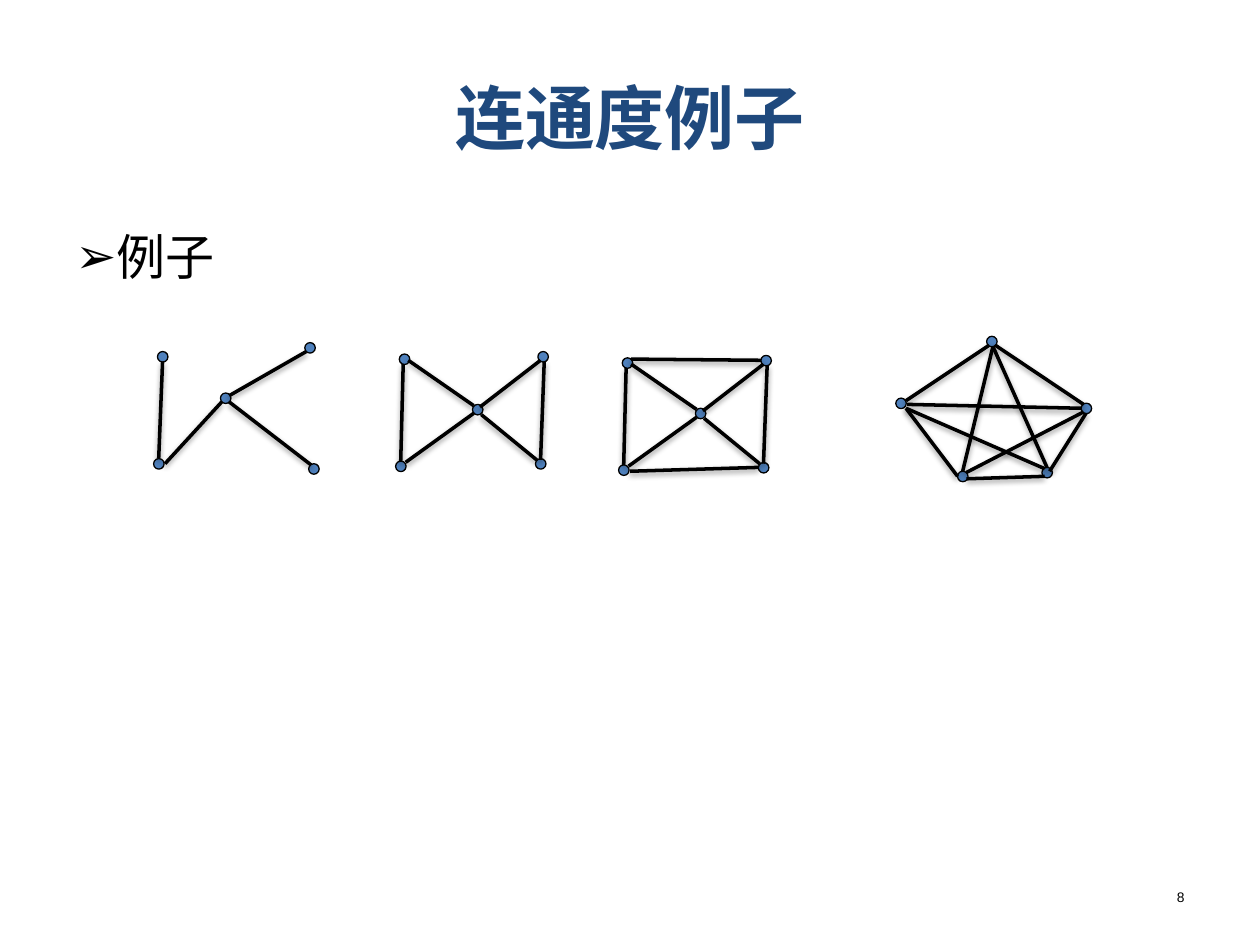
import dataclasses
import typing

import lxml.etree
import pptx
import pptx.dml.color
import pptx.enum.shapes
import pptx.enum.text
import pptx.oxml
import pptx.oxml.ns
import pptx.util

Pt = pptx.util.Pt
Align = pptx.enum.text.PP_ALIGN
Anchor = pptx.enum.text.MSO_ANCHOR
Point = tuple[float, float]
Edge = tuple[float, float, float, float]

BLACK = "000000"
NAVY = "1F497D"
BLUE = "4F81BD"
VERTEX_SIZE = 6
SHADOW = (
    f'<a:effectLst {pptx.oxml.ns.nsdecls("a")}>'
    '<a:outerShdw blurRad="40000" dist="20000" dir="5400000" rotWithShape="0">'
    '<a:srgbClr val="000000"><a:alpha val="38000"/></a:srgbClr>'
    "</a:outerShdw></a:effectLst>"
)


@dataclasses.dataclass
class Graph:
    vertices: list[Point]
    edges: list[Edge]

    def shifted(self, dx: float, dy: float) -> "Graph":
        return Graph(
            [(x + dx, y + dy) for x, y in self.vertices],
            [(x1 + dx, y1 + dy, x2 + dx, y2 + dy) for x1, y1, x2, y2 in self.edges],
        )


@dataclasses.dataclass
class Label:
    wording: str
    box: tuple[float, float, float, float]
    size: float
    color: str = BLACK
    bold: bool = False
    align: Align = Align.LEFT
    anchor: Anchor = Anchor.TOP
    bullet: typing.Optional[str] = None


TREE = Graph(
    [(90, 200.9), (87.8, 262.1), (126, 224.6), (174.2, 195.8), (176.4, 265)],
    [
        (92.9, 206.6, 90.7, 262.1),
        (126.7, 229.7, 94.3, 265),
        (131, 229.7, 177.8, 265.7),
        (131, 226.1, 175, 200.9),
    ],
)
BOW_TIE = Graph(
    [(228.2, 202.3), (226.1, 263.5), (307.4, 200.9), (306, 262.1), (270, 231.1)],
    [
        (230.4, 208.1, 229, 263.5),
        (311, 206.6, 308.9, 262.8),
        (275, 236.9, 306.7, 262.8),
        (233.3, 205.9, 270.7, 231.8),
        (231.8, 264.2, 270.7, 236.2),
        (274.3, 232.6, 308.9, 205.9),
    ],
)
WHEEL = BOW_TIE.shifted(127.4, 2.2)
WHEEL.edges += [(360.7, 205.2, 434.9, 205.9), (360, 269.3, 433.4, 267.1)]
COMPLETE = Graph(
    [(563.8, 192.2), (511.9, 227.5), (617.8, 230.4), (547.2, 269.3), (595.4, 267.1)],
    [
        (567.4, 198, 598.3, 267.1),
        (568.8, 197.3, 619.2, 231.1),
        (567.4, 198, 550.1, 269.3),
        (565.2, 197.3, 517.7, 229),
        (617.8, 233.3, 518.4, 231.1),
        (547.2, 272.2, 517.7, 233.3),
        (596.9, 267.8, 517.7, 233.3),
        (619.2, 235.4, 552.2, 270),
        (596.9, 272.2, 552.2, 273.6),
        (620.6, 236.2, 599.8, 269.3),
    ],
)
LABELS = [
    Label("连通度例子", (36, 21.6, 648, 90), 40, NAVY, True, Align.CENTER, Anchor.MIDDLE),
    Label("例子", (36, 126, 648, 356.4), 28, bullet="➢"),
    Label("8", (516.2, 504, 167.8, 25.2), 7.9, align=Align.RIGHT),
]


def rgb(color: str) -> pptx.dml.color.RGBColor:
    return pptx.dml.color.RGBColor.from_string(color)


def add_bullet(paragraph, symbol: str, indent: float) -> None:
    properties = paragraph._p.get_or_add_pPr()
    properties.set("marL", str(Pt(indent)))
    properties.set("indent", str(-Pt(indent)))
    for tag, key, setting in (("a:buFont", "typeface", "Arial"), ("a:buChar", "char", symbol)):
        lxml.etree.SubElement(properties, pptx.oxml.ns.qn(tag)).set(key, setting)


def draw_label(slide, label: Label) -> None:
    frame = slide.shapes.add_textbox(*map(Pt, label.box)).text_frame
    frame.word_wrap = True
    frame.vertical_anchor = label.anchor
    frame.text = label.wording
    paragraph = frame.paragraphs[0]
    paragraph.alignment = label.align
    if label.bullet:
        add_bullet(paragraph, label.bullet, 15)
    font = paragraph.runs[0].font
    font.name = "Arial"
    font.size = Pt(label.size)
    font.bold = label.bold
    font.color.rgb = rgb(label.color)


def draw_vertex(slide, corner: Point) -> None:
    vertex = slide.shapes.add_shape(
        pptx.enum.shapes.MSO_SHAPE.OVAL, *map(Pt, corner), Pt(VERTEX_SIZE), Pt(VERTEX_SIZE)
    )
    vertex.shadow.inherit = False
    vertex.fill.solid()
    vertex.fill.fore_color.rgb = rgb(BLUE)
    vertex.line.color.rgb = rgb(BLACK)
    vertex.line.width = Pt(0.75)


def draw_edge(slide, ends: Edge) -> None:
    edge = slide.shapes.add_connector(
        pptx.enum.shapes.MSO_CONNECTOR.STRAIGHT, *map(Pt, ends)
    )
    edge.line.color.rgb = rgb(BLACK)
    edge.line.width = Pt(2)
    edge._element.spPr.append(pptx.oxml.parse_xml(SHADOW))


def draw_graph(slide, graph: Graph) -> None:
    for corner in graph.vertices:
        draw_vertex(slide, corner)
    for ends in graph.edges:
        draw_edge(slide, ends)


def main() -> None:
    deck = pptx.Presentation()
    deck.slide_width, deck.slide_height = Pt(720), Pt(540)
    slide = deck.slides.add_slide(deck.slide_layouts[6])
    for label in LABELS:
        draw_label(slide, label)
    for graph in (TREE, BOW_TIE, WHEEL, COMPLETE):
        draw_graph(slide, graph)
    deck.save("out.pptx")


if __name__ == "__main__":
    main()
